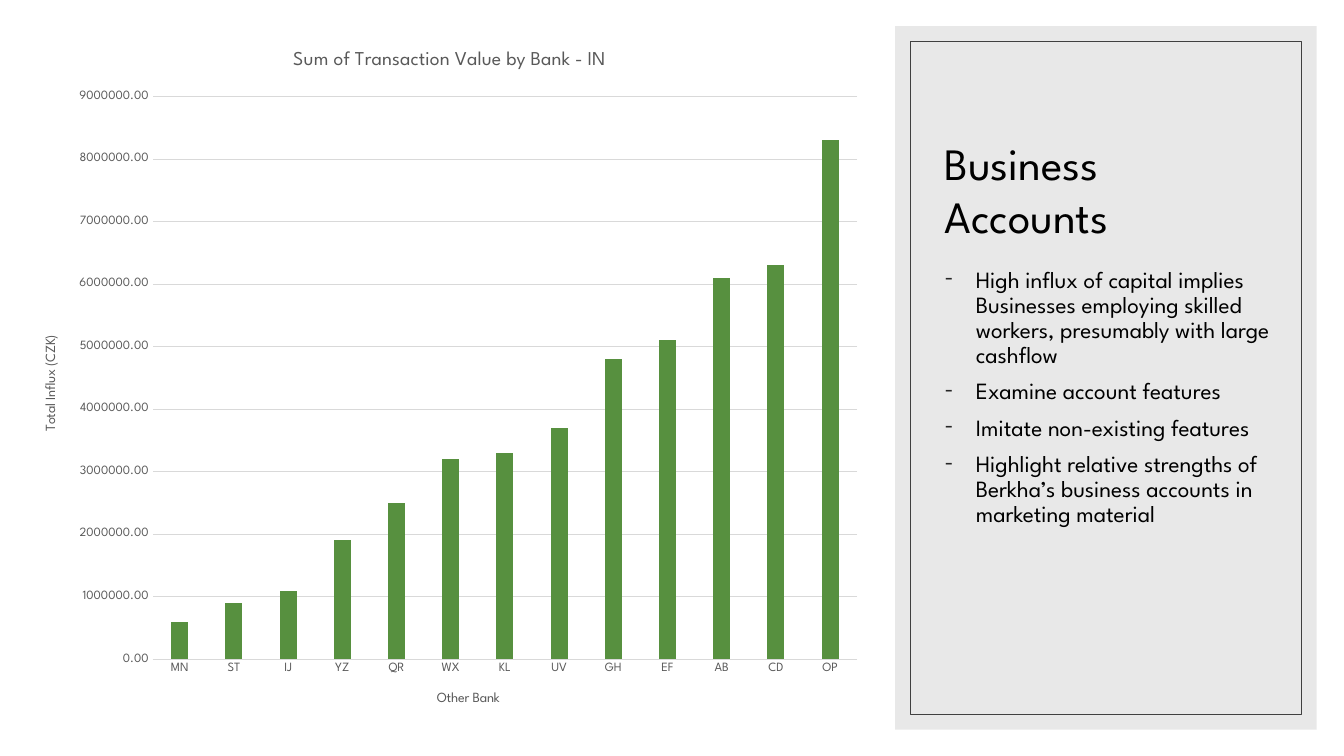
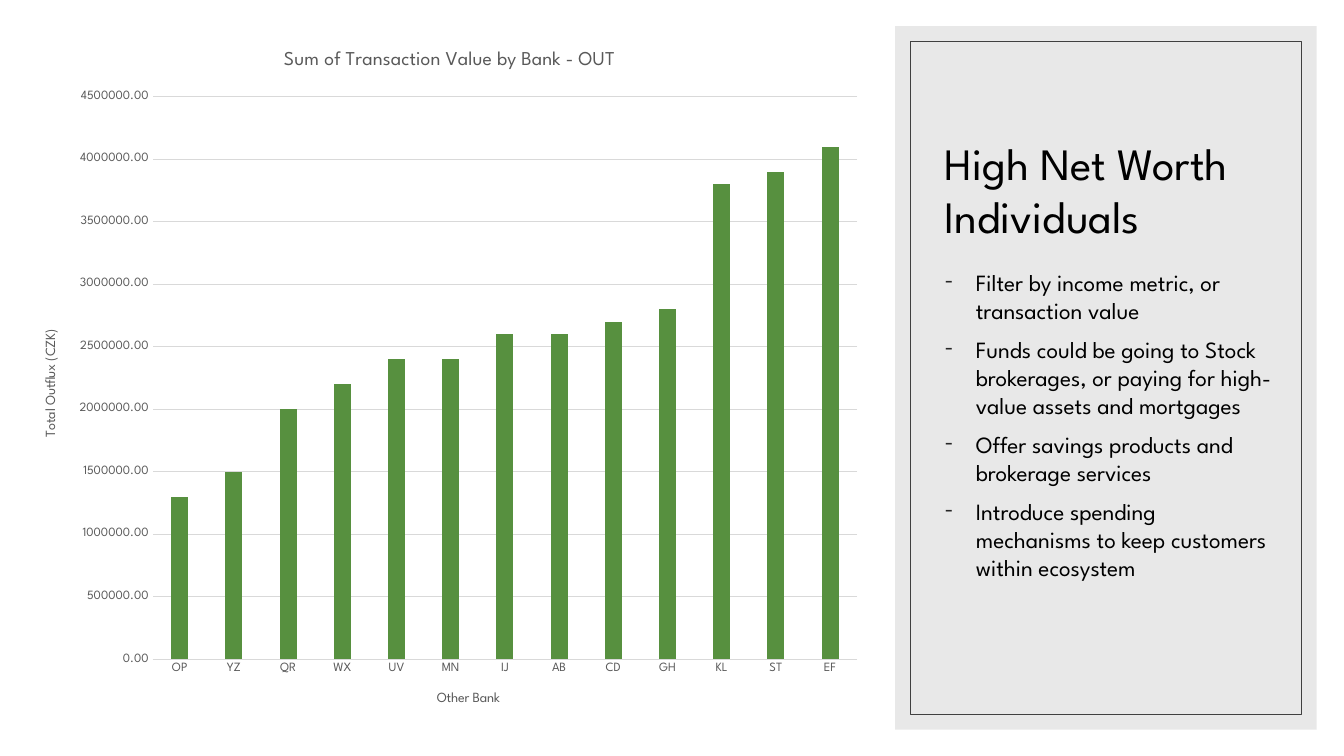
from dataclasses import dataclass

from lxml import etree
from pptx import Presentation
from pptx.chart.data import CategoryChartData
from pptx.dml.color import RGBColor
from pptx.enum.chart import XL_CHART_TYPE, XL_TICK_MARK
from pptx.enum.shapes import MSO_SHAPE
from pptx.enum.text import MSO_ANCHOR, MSO_AUTO_SIZE, PP_ALIGN
from pptx.oxml import parse_xml
from pptx.oxml.ns import nsdecls, qn
from pptx.util import Cm, Pt


@dataclass(frozen=True)
class Theme:
    font: str = "League Spartan"
    text: RGBColor = RGBColor(0x00, 0x00, 0x00)
    label: RGBColor = RGBColor(0x59, 0x59, 0x59)
    grid: RGBColor = RGBColor(0xD9, 0xD9, 0xD9)
    panel: RGBColor = RGBColor(0xD9, 0xD9, 0xD9)
    frame: RGBColor = RGBColor(0x40, 0x40, 0x40)
    bar: RGBColor = RGBColor(0x57, 0x90, 0x3F)
    bullet: str = "262626"
    title_size: float = 32
    body_size: float = 16.6
    chart_title_size: float = 14
    axis_title_size: float = 10
    tick_size: float = 9


THEME = Theme()

SLIDES = [
    dict(
        title="Business Accounts",
        points=[
            "High influx of capital implies Businesses employing skilled workers, "
            "presumably with large cashflow",
            "Examine account features",
            "Imitate non-existing features",
            "Highlight relative strengths of Berkha’s business accounts in marketing material",
        ],
        line_spacing=0.9,
        chart_title="Sum of Transaction Value by Bank - IN",
        value_title="Total Influx (CZK)",
        top=9_000_000,
        step=1_000_000,
        banks="MN ST IJ YZ QR WX KL UV GH EF AB CD OP",
        millions=[0.6, 0.9, 1.1, 1.9, 2.5, 3.2, 3.3, 3.7, 4.8, 5.1, 6.1, 6.3, 8.3],
    ),
    dict(
        title="High Net Worth Individuals",
        points=[
            "Filter by income metric, or transaction value",
            "Funds could be going to Stock brokerages, or paying for high-value assets "
            "and mortgages",
            "Offer savings products and brokerage services",
            "Introduce spending mechanisms to keep customers within ecosystem",
        ],
        line_spacing=1.0,
        chart_title="Sum of Transaction Value by Bank - OUT",
        value_title="Total Outflux (CZK)",
        top=4_500_000,
        step=500_000,
        banks="OP YZ QR WX UV MN IJ AB CD GH KL ST EF",
        millions=[1.3, 1.5, 2.0, 2.2, 2.4, 2.4, 2.6, 2.6, 2.7, 2.8, 3.8, 3.9, 4.1],
    ),
]


def style_font(font, size, color):
    font.name = THEME.font
    font.size = Pt(size)
    font.bold = False
    font.color.rgb = color


def set_chart_text(titled, text, size):
    """Give a chart or an axis its title."""
    frame = (titled.chart_title if hasattr(titled, "chart_title") else titled.axis_title).text_frame
    frame.text = text
    style_font(frame.paragraphs[0].runs[0].font, size, THEME.label)


prs = Presentation()
prs.slide_width, prs.slide_height = Cm(33.87), Cm(19.05)

# Shared layout: placeholder positions
layout = prs.slide_layouts[1]
for holder, top, height in zip(layout.placeholders, (1.68, 6.63), (4.57, 9.75)):
    holder.left, holder.top = Cm(23.55), Cm(top)
    holder.width, holder.height = Cm(8.74), Cm(height)

slides = [prs.slides.add_slide(layout) for _ in SLIDES]

# Shared layout: grey side panel with an inset frame, moved behind the placeholders
for order, inset in enumerate((0, 0.38)):
    panel = slides[0].shapes.add_shape(
        MSO_SHAPE.RECTANGLE, Cm(22.56 + inset), Cm(0.66 + inset),
        Cm(10.62 - 2 * inset), Cm(17.73 - 2 * inset))
    panel.shadow.inherit = False
    if inset:
        panel.fill.background()
        panel.line.color.rgb = THEME.frame
        panel.line.width = Pt(0.5)
    else:
        panel.fill.solid()
        panel.fill.fore_color.rgb = THEME.panel
        color = panel.element.spPr.find(qn("a:solidFill"))[0]
        etree.SubElement(color, qn("a:alpha"), val="60000")
        panel.line.fill.background()
    panel.element.nvSpPr.cNvPr.set("id", str(100 + order))
    layout.shapes.element.insert(2 + order, panel.element)

for slide, content in zip(slides, SLIDES):
    # Title
    heading = slide.shapes.title.text_frame
    heading.text = content["title"]
    heading.vertical_anchor = MSO_ANCHOR.BOTTOM
    heading.auto_size = MSO_AUTO_SIZE.NONE
    heading.paragraphs[0].alignment = PP_ALIGN.LEFT
    style_font(heading.paragraphs[0].runs[0].font, THEME.title_size, THEME.text)

    # Dashed list
    points = slide.placeholders[1].text_frame
    points.text = "\n".join(content["points"])
    points.auto_size = MSO_AUTO_SIZE.NONE
    for point in points.paragraphs:
        point.line_spacing = content["line_spacing"]
        point.space_before = Pt(8)
        style_font(point.runs[0].font, THEME.body_size, THEME.text)
        properties = point._p.get_or_add_pPr()
        properties.set("marL", str(Cm(0.79)))
        properties.set("indent", str(-Cm(0.79)))
        bullet_color = etree.SubElement(properties, qn("a:buClr"))
        etree.SubElement(bullet_color, qn("a:srgbClr"), val=THEME.bullet)
        etree.SubElement(properties, qn("a:buFont"), typeface=THEME.font)
        etree.SubElement(properties, qn("a:buChar"), char="-")

    # Column chart
    transactions = CategoryChartData(number_format="0.00")
    transactions.categories = content["banks"].split()
    transactions.add_series("Series 1", [round(m * 1_000_000) for m in content["millions"]])
    chart = slide.shapes.add_chart(
        XL_CHART_TYPE.COLUMN_CLUSTERED, Cm(0.64), Cm(0.66), Cm(21.39), Cm(17.73),
        transactions).chart
    chart.has_legend = False
    style_font(chart.font, THEME.axis_title_size, THEME.text)
    set_chart_text(chart, content["chart_title"], THEME.chart_title_size)

    columns = chart.plots[0]
    columns.vary_by_categories = False
    columns.gap_width, columns.overlap = 219, -27
    columns.series[0].format.fill.solid()
    columns.series[0].format.fill.fore_color.rgb = THEME.bar

    # Axes
    banks, values = chart.category_axis, chart.value_axis
    for axis, text in ((banks, "Other Bank"), (values, content["value_title"])):
        set_chart_text(axis, text, THEME.axis_title_size)
        style_font(axis.tick_labels.font, THEME.tick_size, THEME.label)
        axis.major_tick_mark = axis.minor_tick_mark = XL_TICK_MARK.NONE
    values.minimum_scale, values.maximum_scale = 0, content["top"]
    values.major_unit = content["step"]
    values.tick_labels.number_format = "0.00"
    values.tick_labels.number_format_is_linked = False
    values.has_major_gridlines = True
    values.format.line.fill.background()
    for line in (banks.format.line, values.major_gridlines.format.line):
        line.color.rgb = THEME.grid
        line.width = Pt(0.75)

    # Fixed plot area, as shares of the chart
    plot_area = chart.element.chart.plotArea
    for old_layout in plot_area.findall(qn("c:layout")):
        plot_area.remove(old_layout)
    plot_area.insert(0, parse_xml(
        f'<c:layout {nsdecls("c")}><c:manualLayout><c:layoutTarget val="inner"/>'
        '<c:xMode val="edge"/><c:yMode val="edge"/><c:x val="0.15"/><c:y val="0.1"/>'
        '<c:w val="0.83"/><c:h val="0.8"/></c:manualLayout></c:layout>'))

prs.save("out.pptx")
